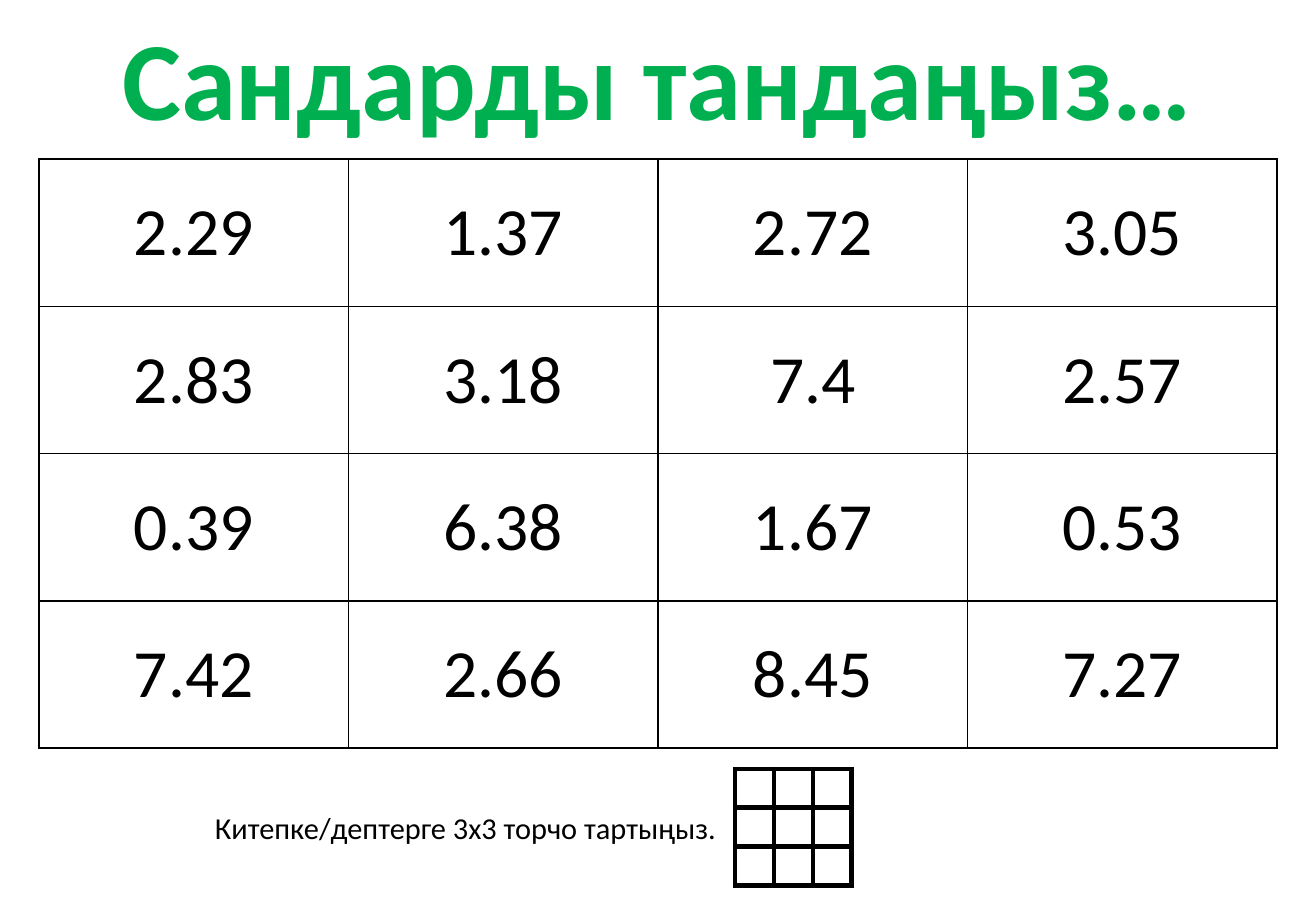
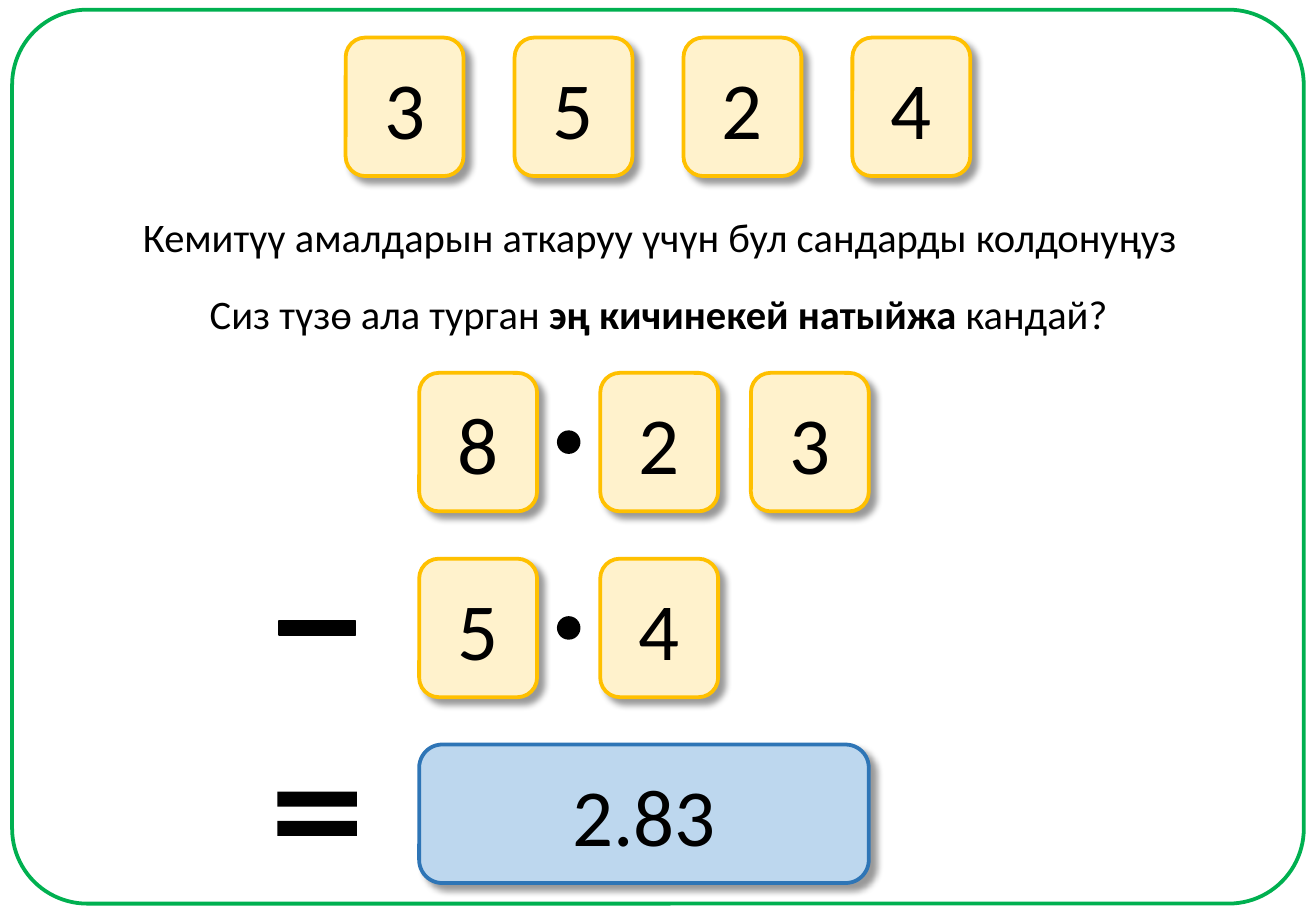
"""Build a two-slide number game about subtracting decimals."""
from dataclasses import dataclass

from lxml import etree
from pptx import Presentation
from pptx.dml.color import RGBColor
from pptx.enum.shapes import MSO_SHAPE
from pptx.enum.text import MSO_ANCHOR, MSO_AUTO_SIZE, PP_ALIGN
from pptx.oxml.ns import qn
from pptx.util import Inches, Pt

ROUNDED, OVAL = MSO_SHAPE.ROUNDED_RECTANGLE, MSO_SHAPE.OVAL
MINUS, EQUAL = MSO_SHAPE.MATH_MINUS, MSO_SHAPE.MATH_EQUAL
LEFT, CENTER = PP_ALIGN.LEFT, PP_ALIGN.CENTER
MIDDLE, NO_FIT = MSO_ANCHOR.MIDDLE, MSO_AUTO_SIZE.NONE
TITLE_ONLY, BLANK = 5, 6


@dataclass(frozen=True)
class Theme:
    """Colours, font and type sizes of the deck."""
    font: str = "Calibri"
    ink: str = "000000"
    paper: str = "FFFFFF"
    green: str = "00B050"
    card_fill: str = "FFF2CC"
    card_line: str = "FFC000"
    result_fill: str = "BDD7EE"
    result_line: str = "2E75B6"
    title: int = 66
    digit: int = 48
    number: int = 40
    question: int = 24
    note: int = 18
    outline: float = 2.25


@dataclass(frozen=True)
class Box:
    """A rectangle in inches."""
    left: float
    top: float
    width: float
    height: float

    @property
    def emu(self) -> tuple:
        """Return left, top, width and height as lengths."""
        return tuple(Inches(v) for v in (self.left, self.top, self.width, self.height))

    def centered(self, width: float, height: float) -> "Box":
        """Return a box of the given size with the same centre."""
        return Box(self.left + (self.width - width) / 2,
                   self.top + (self.height - height) / 2, width, height)


@dataclass(frozen=True)
class Card:
    """A digit placed on the row and column of the sum."""
    text: str
    row: int
    column: int


THEME = Theme()
PAGE = Box(0, 0, 10.83, 7.5)
CARD_WIDTH, CARD_HEIGHT = 0.97, 1.14
DOT_GAP, CARD_GAP, TOP_GAP = 0.52, 0.27, 0.42
SUM_LEFT, SUM_TOP, ROW_PITCH = 3.45, 3.07, 1.53
SUM_COLUMNS = (SUM_LEFT, SUM_LEFT + CARD_WIDTH + DOT_GAP,
               SUM_LEFT + 2 * CARD_WIDTH + DOT_GAP + CARD_GAP)
SIGN_LEFT, SIGN_WIDTH = 2.17, 0.88

NUMBERS = [["2.29", "1.37", "2.72", "3.05"],
           ["2.83", "3.18", "7.4", "2.57"],
           ["0.39", "6.38", "1.67", "0.53"],
           ["7.42", "2.66", "8.45", "7.27"]]
CARDS = [Card("8", 0, 0), Card("2", 0, 1), Card("3", 0, 2),
         Card("5", 1, 0), Card("4", 1, 1)]


def write(frame, text: str, *, size: int, color: str = THEME.ink, bold: bool = False,
          align=CENTER, emphasis: str = "") -> list:
    """Write one paragraph, with the emphasis part in bold, and return its spans."""
    para = frame.paragraphs[0]
    para.alignment = align
    before, middle, after = text.partition(emphasis) if emphasis else (text, "", "")
    spans = []
    for part, strong in ((before, bold), (middle, True), (after, bold)):
        if part:
            span = para.add_run()
            span.text = part
            span.font.name, span.font.size, span.font.bold = THEME.font, Pt(size), strong
            span.font.color.rgb = RGBColor.from_string(color)
            spans.append(span)
    return spans


def add_line_xml(parent, tag: str, width: float, position: int) -> None:
    """Insert a solid ink line element."""
    line = etree.Element(qn(tag), w=str(Pt(width)))
    fill = etree.SubElement(line, qn("a:solidFill"))
    etree.SubElement(fill, qn("a:srgbClr"), val=THEME.ink)
    parent.insert(position, line)


def add_shadow(shape) -> None:
    """Give a shape a soft shadow to the lower right."""
    effects = shape._element.spPr.find(qn("a:effectLst"))
    shadow = etree.SubElement(effects, qn("a:outerShdw"), blurRad=str(Pt(4)),
                              dist=str(Pt(5)), dir=str(45 * 60000),
                              algn="tl", rotWithShape="0")
    color = etree.SubElement(shadow, qn("a:srgbClr"), val="000000")
    etree.SubElement(color, qn("a:alpha"), val="40000")


def add_shape(slide, kind, box: Box, *, fill: str = "", line: str = "",
              width: float = THEME.outline, adjust: tuple = ()):
    """Draw a preset shape without a theme shadow."""
    shape = slide.shapes.add_shape(kind, *box.emu)
    shape.shadow.inherit = False
    for index, value in enumerate(adjust):
        shape.adjustments[index] = value
    if fill:
        shape.fill.solid()
        shape.fill.fore_color.rgb = RGBColor.from_string(fill)
    else:
        shape.fill.background()
    if line:
        shape.line.color.rgb = RGBColor.from_string(line)
        shape.line.width = Pt(width)
    else:
        shape.line.fill.background()
    return shape


def add_card(slide, box: Box, text: str, *, fill: str = THEME.card_fill,
             line: str = THEME.card_line) -> None:
    """Draw a rounded card with a shadow and a number."""
    card = add_shape(slide, ROUNDED, box, fill=fill, line=line)
    add_shadow(card)
    frame = card.text_frame
    frame.vertical_anchor = MIDDLE
    write(frame, text, size=THEME.digit)


def add_text(slide, box: Box, text: str, **style) -> None:
    """Add a one-line text box."""
    frame = slide.shapes.add_textbox(*box.emu).text_frame
    frame.word_wrap = False
    write(frame, text, **style)


def add_grid(slide, box: Box, rows: list, border: float) -> None:
    """Draw a table of equal cells with ink borders."""
    table = slide.shapes.add_table(len(rows), len(rows[0]), *box.emu).table
    table.first_row = table.horz_banding = False
    for row, texts in enumerate(rows):
        for column, text in enumerate(texts):
            cell = table.cell(row, column)
            cell.margin_left = cell.margin_right = cell.margin_top = cell.margin_bottom = 0
            cell.vertical_anchor = MIDDLE
            for position, side in enumerate("LRTB"):
                add_line_xml(cell._tc.tcPr, f"a:ln{side}", border, position)
            cell.fill.solid()
            cell.fill.fore_color.rgb = RGBColor.from_string(THEME.paper)
            write(cell.text_frame, text, size=THEME.number)


def sum_box(row: int, column: int) -> Box:
    """Return the box of a card in the sum."""
    return Box(SUM_COLUMNS[column], SUM_TOP + row * ROW_PITCH, CARD_WIDTH, CARD_HEIGHT)


def build_numbers(deck) -> None:
    """Build the slide of numbers to choose from."""
    slide = deck.slides.add_slide(deck.slide_layouts[TITLE_ONLY])
    title = slide.shapes.title
    title.left, title.top, title.width, title.height = Box(0.79, 0.02, 9.24, 1.21).emu
    frame = title.text_frame
    frame.word_wrap, frame.auto_size, frame.vertical_anchor = False, NO_FIT, MIDDLE
    for span in write(frame, "Сандарды тандаңыз…", size=THEME.title,
                      color=THEME.green, bold=True):
        add_line_xml(span.font._element, "a:ln", 0.75, 0)
    add_grid(slide, Box(0.32, 1.31, 10.19, 4.85), NUMBERS, 1)
    add_grid(slide, Box(6.05, 6.33, 0.96, 0.96), [[""] * 3] * 3, 3)
    add_text(slide, Box(1.67, 6.61, 4.38, 0.4), "Китепке/дептерге 3х3 торчо тартыңыз.",
             size=THEME.note, align=LEFT)


def build_sum(deck) -> None:
    """Build the slide of the subtraction."""
    slide = deck.slides.add_slide(deck.slide_layouts[BLANK])
    add_shape(slide, ROUNDED, Box(0.1, 0.08, 10.63, 7.36), line=THEME.green, adjust=(0.084,))
    add_text(slide, Box(1.03, 1.7, 8.8, 0.5),
             "Кемитүү амалдарын аткаруу үчүн бул сандарды колдонуңуз", size=THEME.question)
    add_text(slide, Box(1.59, 2.33, 7.66, 0.5),
             "Сиз түзө ала турган эң кичинекей натыйжа кандай?", size=THEME.question,
             emphasis="эң кичинекей натыйжа ")

    digits = "3524"
    pitch = CARD_WIDTH + TOP_GAP
    left = (PAGE.width - len(digits) * pitch + TOP_GAP) / 2
    for index, digit in enumerate(digits):
        add_card(slide, Box(left + index * pitch, 0.31, CARD_WIDTH, CARD_HEIGHT), digit)

    for card in CARDS:
        add_card(slide, sum_box(card.row, card.column), card.text)
    for row in range(2):
        gap = Box(SUM_LEFT + CARD_WIDTH, sum_box(row, 0).top, DOT_GAP, CARD_HEIGHT)
        add_shape(slide, OVAL, gap.centered(0.18, 0.18), fill=THEME.ink,
                  line=THEME.ink, width=1)

    minus, equal = (Box(SIGN_LEFT, sum_box(row, 0).top, SIGN_WIDTH, CARD_HEIGHT)
                    for row in (1, 2))
    add_shape(slide, MINUS, minus.centered(0.86, 0.86), fill=THEME.ink, line=THEME.ink,
              width=1, adjust=(0.132,))
    add_shape(slide, EQUAL, equal.centered(0.89, 1), fill=THEME.ink, adjust=(0.123, 0.118))
    result = Box(SUM_LEFT, equal.top, SUM_COLUMNS[-1] + CARD_WIDTH - SUM_LEFT, CARD_HEIGHT)
    add_card(slide, result, "2.83", fill=THEME.result_fill, line=THEME.result_line)


def main() -> None:
    """Build and save the deck."""
    deck = Presentation()
    deck.slide_width, deck.slide_height = Inches(PAGE.width), Inches(PAGE.height)
    build_numbers(deck)
    build_sum(deck)
    deck.save("out.pptx")


if __name__ == "__main__":
    main()
